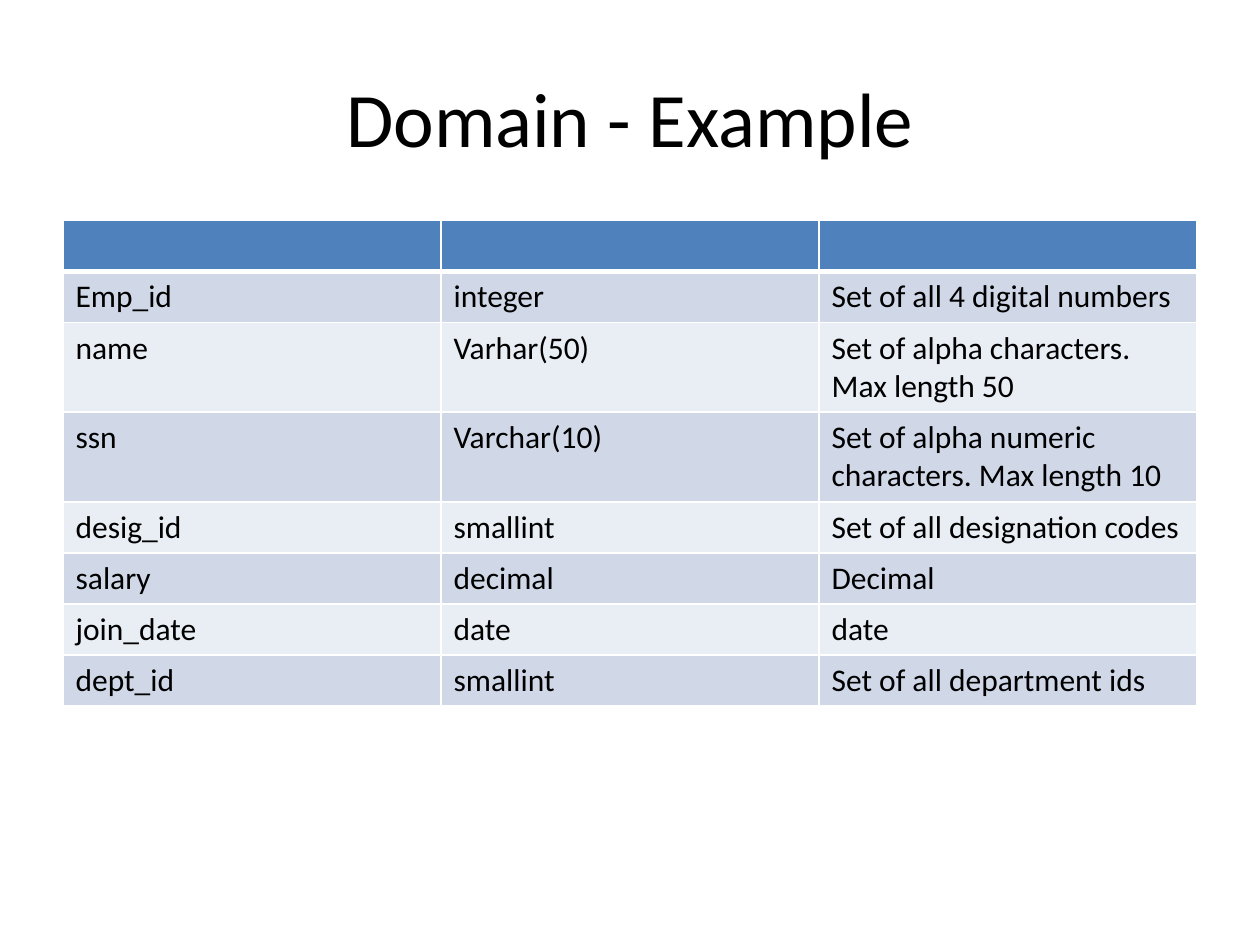
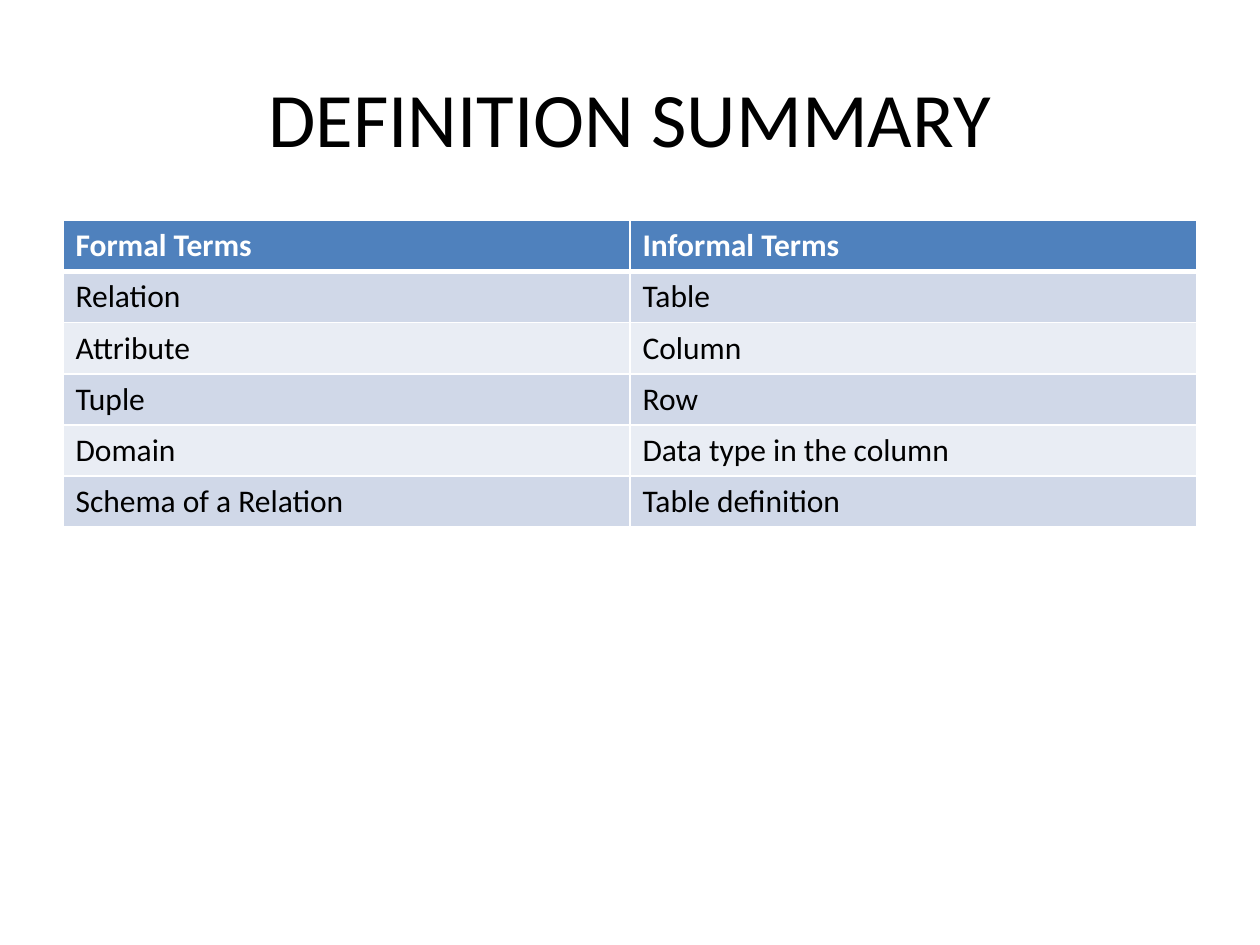
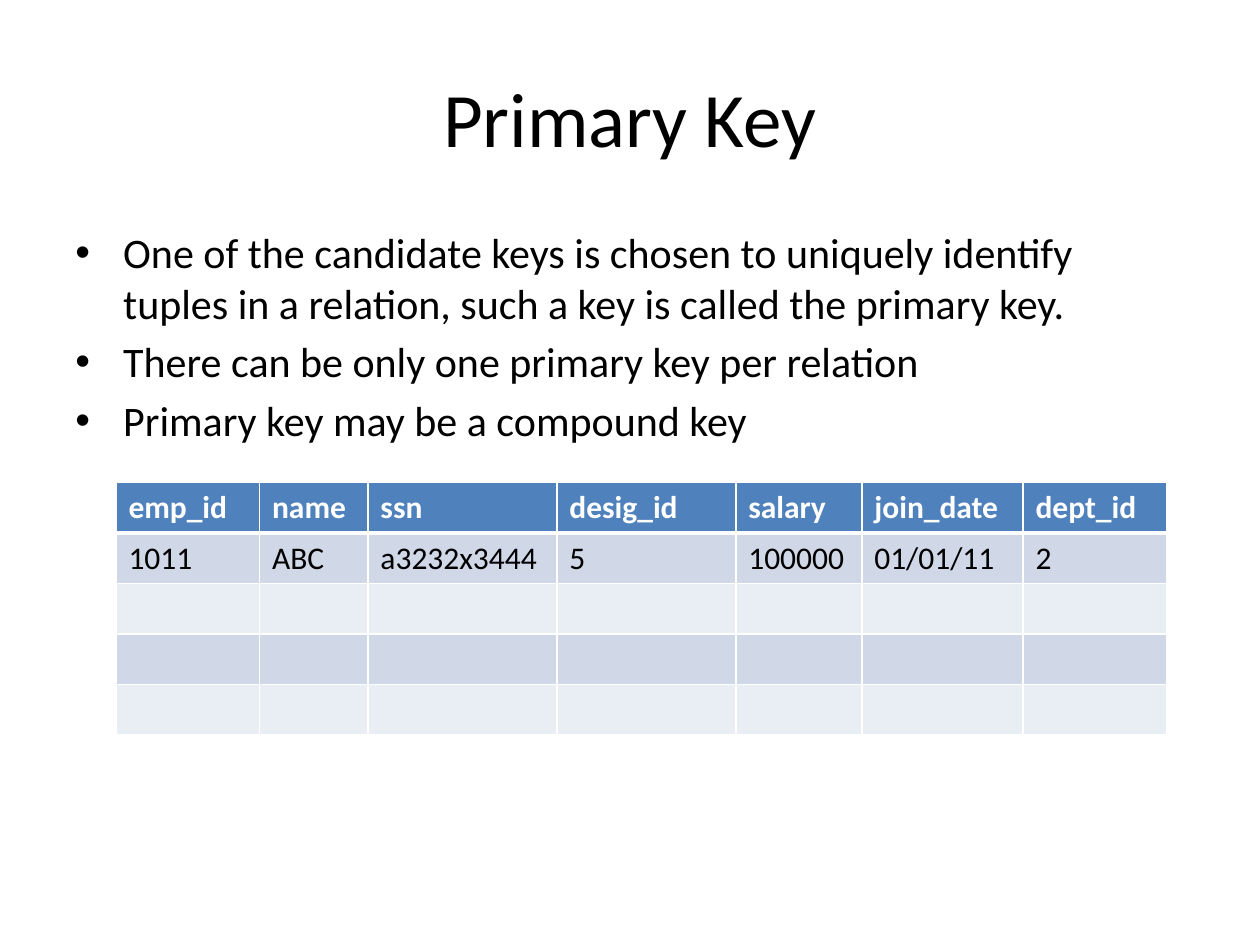
from lxml.etree import SubElement
from pptx import Presentation
from pptx.dml.color import RGBColor
from pptx.enum.text import MSO_ANCHOR, PP_ALIGN
from pptx.oxml import parse_xml
from pptx.oxml.ns import nsdecls, qn
from pptx.util import Inches, Pt

# Shared style
FONT = "Calibri"
BLACK, WHITE = "000000", "FFFFFF"
HEADER_FILL = "4F81BD"
BAND_FILLS = ("E9EDF4", "D0D8E8")
ROW_HEIGHT = 0.4
TITLE_ONLY = 5

# Table contents, header row first
DOMAINS = [
    ("", "", ""),
    ("Emp_id", "integer", "Set of all 4 digital numbers"),
    ("name", "Varhar(50)", "Set of alpha characters. Max length 50"),
    ("ssn", "Varchar(10)", "Set of alpha numeric characters. Max length 10"),
    ("desig_id", "smallint", "Set of all designation codes"),
    ("salary", "decimal", "Decimal"),
    ("join_date", "date", "date"),
    ("dept_id", "smallint", "Set of all department ids"),
]
TERMS = [
    ("Formal Terms", "Informal Terms"),
    ("Relation", "Table"),
    ("Attribute", "Column"),
    ("Tuple", "Row"),
    ("Domain", "Data type in the column"),
    ("Schema of a Relation", "Table definition"),
]
EMPLOYEES = [
    ("emp_id", "name", "ssn", "desig_id", "salary", "join_date", "dept_id"),
    ("1011", "ABC", "a3232x3444", "5", "100000", "01/01/11", "2"),
] + [("",) * 7] * 3
KEY_POINTS = [
    "One of the candidate keys is chosen to uniquely identify tuples in a "
    "relation, such a key is called the primary key.",
    "There can be only one primary key per relation",
    "Primary key may be a compound key",
]


def color(hex_code):
    return RGBColor.from_string(hex_code)


def add_run(paragraph, text, size, hex_code=BLACK, bold=False):
    run = paragraph.add_run()
    run.text = text
    run.font.name = FONT
    run.font.size = Pt(size)
    run.font.bold = bold
    run.font.color.rgb = color(hex_code)


def add_titled_slide(prs, heading):
    slide = prs.slides.add_slide(prs.slide_layouts[TITLE_ONLY])
    title = slide.shapes.title
    title.left, title.top = Inches(0.5), Inches(0.3)
    title.width, title.height = Inches(9), Inches(1.25)
    title.text_frame.vertical_anchor = MSO_ANCHOR.MIDDLE
    paragraph = title.text_frame.paragraphs[0]
    paragraph.alignment = PP_ALIGN.CENTER
    add_run(paragraph, heading, 44)
    return slide


def add_bullets(slide, points):
    box = slide.shapes.add_textbox(Inches(0.5), Inches(1.75), Inches(9), Inches(4.95))
    frame = box.text_frame
    frame.word_wrap = True
    for i, point in enumerate(points):
        paragraph = frame.add_paragraph() if i else frame.paragraphs[0]
        properties = paragraph._p.get_or_add_pPr()
        properties.set("marL", str(Inches(0.38)))
        properties.set("indent", str(-Inches(0.38)))
        SubElement(properties, qn("a:buFont"), typeface="Arial")
        SubElement(properties, qn("a:buChar"), char="•")
        if i:
            paragraph.space_before = Pt(4.8)
        add_run(paragraph, point, 24)


def set_borders(cell, top, bottom):
    """Draw white cell borders; side borders are 1 pt wide."""
    properties = cell._tc.get_or_add_tcPr()
    widths = {"lnL": 1, "lnR": 1, "lnT": top, "lnB": bottom}
    for position, (side, width) in enumerate(widths.items()):
        border = parse_xml(
            f'<a:{side} {nsdecls("a")} w="{Pt(width)}"><a:solidFill>'
            f'<a:srgbClr val="{WHITE}"/></a:solidFill></a:{side}>'
        )
        properties.insert(position, border)


def add_banded_table(slide, rows, left, top, column_widths):
    table = slide.shapes.add_table(
        len(rows), len(column_widths), Inches(left), Inches(top),
        Inches(sum(column_widths)), Inches(ROW_HEIGHT * len(rows)),
    ).table
    for column, width in zip(table.columns, column_widths):
        column.width = Inches(width)
    for r, row in enumerate(rows):
        is_header = r == 0
        for c, text in enumerate(row):
            cell = table.cell(r, c)
            cell.fill.solid()
            cell.fill.fore_color.rgb = color(HEADER_FILL if is_header else BAND_FILLS[r % 2])
            # The line under the header is thicker
            set_borders(cell, top=3 if r == 1 else 1, bottom=3 if is_header else 1)
            if text:
                add_run(cell.text_frame.paragraphs[0], text, 18,
                        WHITE if is_header else BLACK, is_header)


def main():
    prs = Presentation()
    prs.slide_width, prs.slide_height = Inches(10), Inches(7.5)

    # Domains of the employee attributes
    slide = add_titled_slide(prs, "Domain - Example")
    add_banded_table(slide, DOMAINS, 0.5, 1.75, [3] * 3)

    # Formal and informal terms
    slide = add_titled_slide(prs, "DEFINITION SUMMARY")
    add_banded_table(slide, TERMS, 0.5, 1.75, [4.5] * 2)

    # Primary key with an employee relation
    slide = add_titled_slide(prs, "Primary Key")
    add_bullets(slide, KEY_POINTS)
    add_banded_table(slide, EMPLOYEES, 0.92, 3.83,
                     [1.14, 0.86, 1.5, 1.42, 1, 1.28, 1.14])

    prs.save("out.pptx")


if __name__ == "__main__":
    main()
